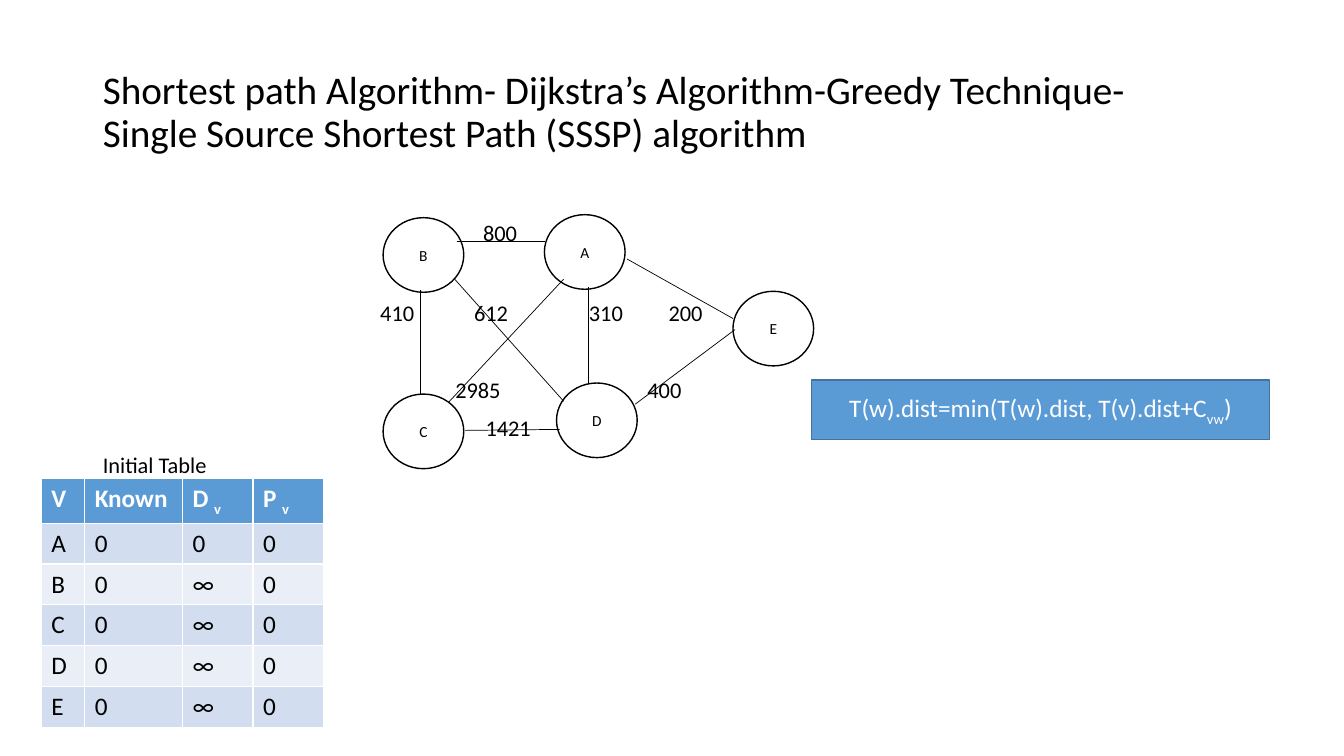
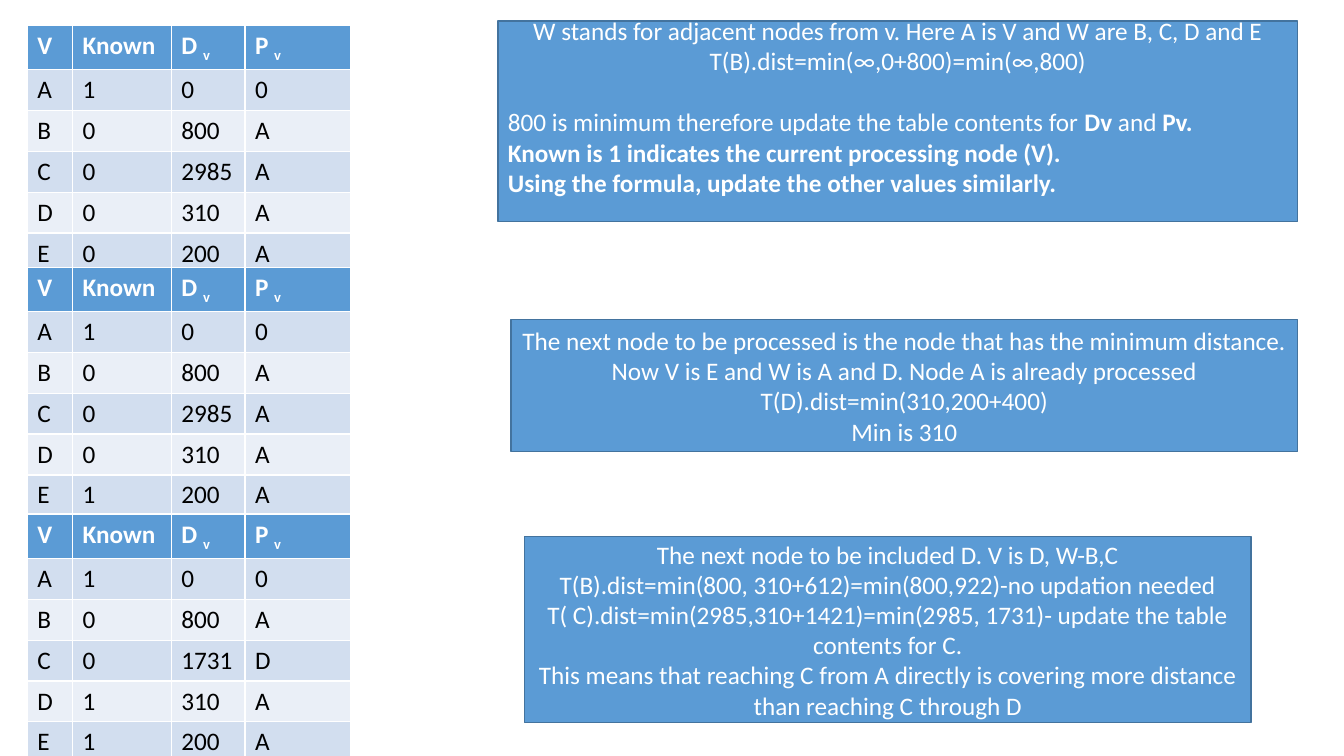
from pptx import Presentation
from pptx import util as u
from pptx.dml.color import RGBColor
from pptx.enum import shapes, text
from pptx.oxml.ns import qn
from lxml import etree

PX = 9144
BLACK, WHITE = "000000", "FFFFFF"
BLUE, EDGE_BLUE = "5B9BD5", "43739E"
BANDS = "D2DEEF", "EAEFF7"
LEFT, CENTER = text.PP_ALIGN.LEFT, text.PP_ALIGN.CENTER


def px(length):
    return u.Emu(length * PX)


def rgb(code):
    return RGBColor.from_string(code)


class Deck:
    font = "Calibri"

    def __init__(self):
        self.prs = Presentation()
        self.prs.slide_width, self.prs.slide_height = px(1333), px(750)
        self.slide = None

    def new_slide(self):
        self.slide = self.prs.slides.add_slide(self.prs.slide_layouts[6])

    def set_text(self, paragraph, content, size, color, align=LEFT, bold=None):
        if isinstance(content, str):
            paragraph.text = content
        else:
            for words, style in content:
                run = paragraph.add_run()
                run.text = words
                if style == "bold":
                    run.font.bold = True
                elif style == "sub":
                    run._r.get_or_add_rPr().set("baseline", "-25000")
        paragraph.alignment = align
        font = paragraph.font
        font.name, font.size, font.bold = self.font, u.Pt(size), bold
        font.color.rgb = rgb(color)

    def label(self, x, y, w, h, content, size=16, align=CENTER, spacing=1.0):
        box = self.slide.shapes.add_textbox(px(x), px(y), px(w), px(h))
        frame = box.text_frame
        frame.word_wrap = True
        frame.vertical_anchor = text.MSO_ANCHOR.MIDDLE
        frame.margin_left = frame.margin_right = 0
        frame.margin_top = frame.margin_bottom = 0
        self.set_text(frame.paragraphs[0], content, size, BLACK, align)
        frame.paragraphs[0].line_spacing = spacing

    def shape(self, kind, x, y, w, h, fill, line):
        item = self.slide.shapes.add_shape(kind, px(x), px(y), px(w), px(h))
        item.shadow.inherit = False
        item.fill.solid()
        item.fill.fore_color.rgb = rgb(fill)
        item.line.color.rgb = rgb(line)
        item.line.width = u.Pt(1)
        frame = item.text_frame
        frame.word_wrap = True
        frame.vertical_anchor = text.MSO_ANCHOR.MIDDLE
        return frame

    def node(self, x, y, name):
        frame = self.shape(shapes.MSO_SHAPE.OVAL, x, y, 80, 74, WHITE, BLACK)
        self.set_text(frame.paragraphs[0], name, 11, BLACK, CENTER)

    def edge(self, x1, y1, x2, y2):
        line = self.slide.shapes.add_connector(
            shapes.MSO_CONNECTOR.STRAIGHT, px(x1), px(y1), px(x2), px(y2))
        line.line.color.rgb = rgb(BLACK)
        line.line.width = u.Pt(0.5)
        etree.SubElement(line._element.spPr, qn("a:effectLst"))

    def callout(self, x, y, w, h, centered, remarks=()):
        frame = self.shape(shapes.MSO_SHAPE.RECTANGLE, x, y, w, h, BLUE, EDGE_BLUE)
        lines = [(c, CENTER) for c in centered] + [(c, LEFT) for c in remarks]
        for i, (content, align) in enumerate(lines):
            paragraph = frame.add_paragraph() if i else frame.paragraphs[0]
            self.set_text(paragraph, content, 18, WHITE, align)
            if remarks and i == len(centered):
                paragraph.space_before = u.Pt(22)
        if remarks:
            frame.margin_bottom = px(35)

    def distance_table(self, x, y, widths, height, rows):
        header = ["V", "Known", [("D ", ""), ("v", "sub")], [("P ", ""), ("v", "sub")]]
        grid = self.slide.shapes.add_table(
            len(rows) + 1, len(header), px(x), px(y), px(sum(widths)), px(height)).table
        for column, width in zip(grid.columns, widths):
            column.width = px(width)
        for r, values in enumerate([header] + rows):
            for c, value in enumerate(values):
                cell = grid.cell(r, c)
                cell.fill.solid()
                cell.fill.fore_color.rgb = rgb(BANDS[(r - 1) % 2] if r else BLUE)
                self.set_text(cell.text_frame.paragraphs[0], value, 18,
                              BLACK if r else WHITE, bold=r == 0)


def states(known, distances, previous):
    return [list(row) for row in zip("ABCDE", known, distances.split(), previous)]


def graph_slide(deck):
    deck.new_slide()
    deck.label(102, 40, 1130, 145,
               "Shortest path Algorithm- Dijkstra’s Algorithm-Greedy Technique-\v"
               "Single Source Shortest Path (SSSP) algorithm", 28, LEFT, 0.9)
    weights = [("800", 496, 231), ("410", 394, 310), ("612", 487, 310),
               ("310", 601, 310), ("200", 680, 310), ("2985", 474, 386),
               ("400", 659, 386), ("1421", 504, 424)]
    for weight, x, y in weights:
        deck.label(x - 30, y - 15, 60, 30, weight)
    deck.label(102, 446, 150, 30, "Initial Table", align=LEFT)
    for name, x, y in [("B", 380, 216), ("E", 727, 289), ("C", 380, 391),
                       ("D", 552, 380), ("A", 540, 213)]:
        deck.node(x, y, name)
    for ends in [(453, 239, 541, 239), (417, 288, 417, 392), (461, 427, 555, 426),
                 (584, 285, 584, 380), (622, 257, 727, 316), (630, 401, 729, 327),
                 (451, 277, 559, 398), (445, 399, 559, 277)]:
        deck.edge(*ends)
    deck.callout(805, 377, 454, 59, [
        [("T(w).dist=min(T(w).dist, T(v).dist+C", ""), ("vw", "sub"), (")", "")]])
    deck.distance_table(41, 475, (43, 97, 70, 70), 243,
                        states("00000", "0 ∞ ∞ ∞ ∞", "00000"))


def steps_slide(deck):
    deck.new_slide()
    steps = [(25, "10000", "0 800 2985 310 200", "0AAAA"),
             (265, "10001", "0 800 2985 310 200", "0AAAA"),
             (510, "10011", "0 800 1731 310 200", "0ADAA")]
    for y, *state in steps:
        deck.distance_table(27, y, (45, 98, 73, 105), 240, states(*state))
    deck.callout(494, 21, 793, 199, [
        "W stands for adjacent nodes from v. Here A is V and W are B, C, D and E",
        "T(B).dist=min(∞,0+800)=min(∞,800)",
    ], [
        [("800 is minimum therefore update the table contents for ", ""),
         ("Dv", "bold"), (" and ", ""), ("Pv.", "bold")],
        [("Known is 1 indicates the current processing node (V).", "bold")],
        [("Using the formula, update the other values similarly.", "bold")],
    ])
    deck.callout(507, 317, 780, 131, [
        "The next node to be processed is the node that has the minimum distance.",
        "Now V is E and W is A and D. Node A is already processed",
        "T(D).dist=min(310,200+400)",
        "Min is 310",
    ])
    deck.callout(520, 532, 721, 185, [
        "The next node to be included D. V is D, W-B,C",
        "T(B).dist=min(800, 310+612)=min(800,922)-no updation needed",
        "T( C).dist=min(2985,310+1421)=min(2985, 1731)- update the table contents for C.",
        "This means that reaching C from A directly is covering more distance "
        "than reaching C through D",
    ])


def main():
    deck = Deck()
    graph_slide(deck)
    steps_slide(deck)
    deck.prs.save("out.pptx")


if __name__ == "__main__":
    main()
